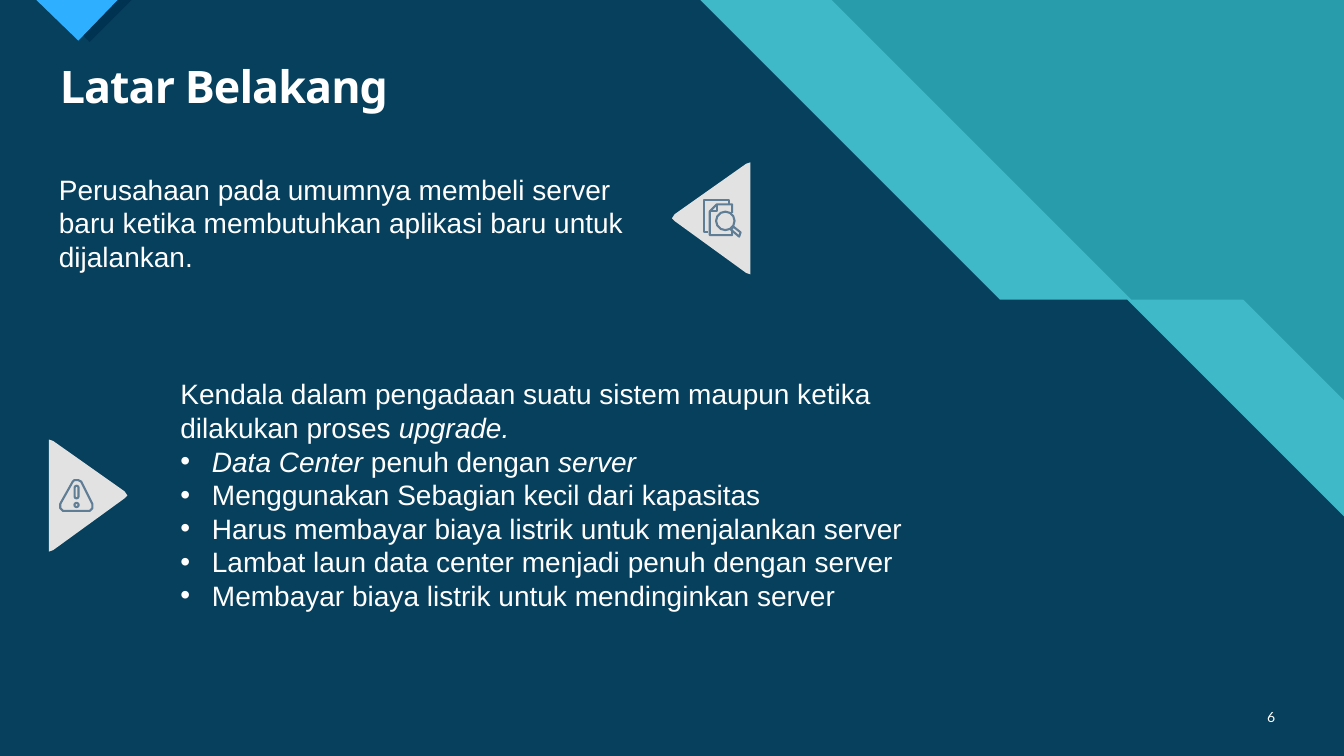
import pptx
import pptx.dml.color
import pptx.enum.shapes
import pptx.enum.text
import pptx.oxml.ns
import pptx.util
from lxml import etree

Pt = pptx.util.Pt
OVAL = pptx.enum.shapes.MSO_SHAPE.OVAL
ROUNDED = pptx.enum.shapes.MSO_SHAPE.ROUNDED_RECTANGLE
MIDDLE = pptx.enum.text.MSO_ANCHOR.MIDDLE

# Content
TITLE = "Latar Belakang"
PURCHASE = [[("Perusahaan pada umumnya membeli server baru ketika "
              "membutuhkan aplikasi baru untuk dijalankan.", False)]]
CONSTRAINTS = [
    [("Kendala dalam pengadaan suatu sistem maupun ketika dilakukan proses ", False),
     ("upgrade.", True)],
    [("Data Center ", True), ("penuh dengan ", False), ("server", True)],
    [("Menggunakan Sebagian kecil dari kapasitas", False)],
    [("Harus membayar biaya listrik untuk menjalankan server", False)],
    [("Lambat laun data center menjadi penuh dengan server", False)],
    [("Membayar biaya listrik untuk mendinginkan server", False)],
]
PAGE_NUMBER = "6"

# Colours and sizes in points
WHITE, NAVY, SKY = "FFFFFF", "003352", "2FAFFF"
TEAL, AQUA = "299CAB", "47C3D3"
SILVER, SLATE = "E2E2E3", "5F7D95"
WIDTH, HEIGHT = 960, 540
STEP_Y = 214
BULLET_INDENT = 22.5
ICON_LINE = 1.5

# Backdrop bands: outline, colour, opacity in percent
BANDS = [
    ([(0, 0), (594, 0), (594 + STEP_Y, STEP_Y), (888.5, STEP_Y), (WIDTH, 285.5),
      (WIDTH, HEIGHT), (0, HEIGHT)], AQUA, 74),
    ([(0, 0), (500, 0), (500 + STEP_Y, STEP_Y), (805, STEP_Y), (WIDTH, 369),
      (WIDTH, HEIGHT), (0, HEIGHT)], NAVY, 90),
    ([(34.5, 0), (64.5, 29.5), (94.5, 0)], NAVY, 100),
    ([(26.5, 0), (55.5, 29), (84.5, 0)], SKY, 100),
]

# Pointers: base x, middle y, direction of the tip
POINTERS = [(535.7, 155.9, -1), (35.3, 353.9, 1)]
POINTER_EDGE = [(0, -40), (2.9, -39.2), (54, -2.6), (55.5, 0)]

# Document search icon
PAGE_LINES = [
    [(521.3, 146), (521.3, 142.6), (503.3, 142.6), (503.3, 165.6), (506.5, 165.6)],
    [(522.7, 152.5), (522.7, 146.2), (512, 146.2), (506.9, 151.2),
     (506.9, 167.8), (522.7, 167.8), (522.7, 164.5)],
    [(506.9, 151.2), (512, 151.2), (512, 146.2)],
]
LENS = (511.5, 151.2, 13.2, 13.2)
LENS_HANDLE = [(524, 161.5), (529.2, 166.3), (527.5, 169), (522.5, 164)]

# Warning icon: right half of the outline, as offsets from its axis
WARNING_X = 54.7
WARNING_EDGE = [(1.5, 343), (3, 344.5), (11.6, 360.4), (11.8, 363), (9.5, 365)]
WARNING_BAR = (53.3, 347, 2.8, 9)
WARNING_DOT = (53.2, 359.2, 3, 3)


def rgb(value):
    return pptx.dml.color.RGBColor.from_string(value)


def paint(shape, fill=None, line=None, opacity=100):
    shape.shadow.inherit = False
    if fill:
        shape.fill.solid()
        shape.fill.fore_color.rgb = rgb(fill)
        if opacity < 100:
            colour = shape.fill._xPr.find(".//" + pptx.oxml.ns.qn("a:srgbClr"))
            etree.SubElement(colour, pptx.oxml.ns.qn("a:alpha"), val=str(opacity * 1000))
    else:
        shape.fill.background()
    if line:
        shape.line.color.rgb = rgb(line)
        shape.line.width = Pt(ICON_LINE)
    else:
        shape.line.fill.background()


def draw_outline(points, closed=True, **look):
    builder = slide.shapes.build_freeform(*points[0], scale=float(Pt(1)))
    builder.add_line_segments(points[1:], close=closed)
    paint(builder.convert_to_shape(), **look)


def draw_ring(preset, box):
    ring = slide.shapes.add_shape(preset, *map(Pt, box))
    if preset == ROUNDED:
        ring.adjustments[0] = 0.5
    paint(ring, line=SLATE)


def style(paragraph, size, font):
    paragraph.font.size = Pt(size)
    paragraph.font.name = font
    paragraph.font.color.rgb = rgb(WHITE)


def add_bullet(paragraph):
    properties = paragraph._p.get_or_add_pPr()
    properties.set("marL", str(Pt(BULLET_INDENT)))
    properties.set("indent", str(-Pt(BULLET_INDENT)))
    bullet_font = etree.Element(pptx.oxml.ns.qn("a:buFont"), typeface="Arial")
    bullet = etree.Element(pptx.oxml.ns.qn("a:buChar"), char="•")
    properties.insert(0, bullet_font)
    properties.insert(1, bullet)


def add_text(box, paragraphs, size=20, font="Arial"):
    frame = slide.shapes.add_textbox(*map(Pt, box)).text_frame
    frame.word_wrap = True
    for index, runs in enumerate(paragraphs):
        paragraph = frame.add_paragraph() if index else frame.paragraphs[0]
        style(paragraph, size, font)
        for words, italic in runs:
            run = paragraph.add_run()
            run.text = words
            if italic:
                run.font.italic = True
        if index:
            add_bullet(paragraph)
    return frame


deck = pptx.Presentation()
deck.slide_width, deck.slide_height = Pt(WIDTH), Pt(HEIGHT)
slide = deck.slides.add_slide(deck.slide_layouts[5])
slide.background.fill.solid()
slide.background.fill.fore_color.rgb = rgb(TEAL)

# Backdrop
for band, colour, opacity in BANDS:
    draw_outline(band, fill=colour, opacity=opacity)

# Title, raised above the backdrop
heading = slide.shapes.title
slide.shapes._spTree.append(heading._element)
heading.left, heading.top, heading.width, heading.height = map(Pt, (35.5, 42.5, 882.5, 42.5))
heading.text_frame.text = TITLE
heading.text_frame.vertical_anchor = MIDDLE
heading.text_frame.margin_top = heading.text_frame.margin_bottom = 0
heading_line = heading.text_frame.paragraphs[0]
heading_line.alignment = pptx.enum.text.PP_ALIGN.LEFT
heading_line.line_spacing = 0.9
style(heading_line, 32, "Noto Sans")
heading_line.font.bold = True
heading_line.runs[0].font._element.set("spc", "-70")

# Pointers
for base_x, middle_y, direction in POINTERS:
    edge = POINTER_EDGE + [(x, -y) for x, y in POINTER_EDGE[-2::-1]]
    draw_outline([(base_x + direction * x, middle_y + y) for x, y in edge], fill=SILVER)

# Document search icon
for page_line in PAGE_LINES:
    draw_outline(page_line, closed=False, line=SLATE)
draw_outline(LENS_HANDLE, line=SLATE)
draw_ring(OVAL, LENS)

# Warning icon
draw_outline([(WARNING_X + x, y) for x, y in WARNING_EDGE]
             + [(WARNING_X - x, y) for x, y in reversed(WARNING_EDGE)], line=SLATE)
draw_ring(ROUNDED, WARNING_BAR)
draw_ring(OVAL, WARNING_DOT)

# Body text and page number
add_text((35, 119.5, 424, 80), PURCHASE)
add_text((121.8, 265.7, 560, 177), CONSTRAINTS)
number = add_text((886.5, 497.5, 31.5, 29), [[(PAGE_NUMBER, False)]], 10, "Lato")
number.vertical_anchor = MIDDLE
number.paragraphs[0].alignment = pptx.enum.text.PP_ALIGN.RIGHT

deck.save("out.pptx")
